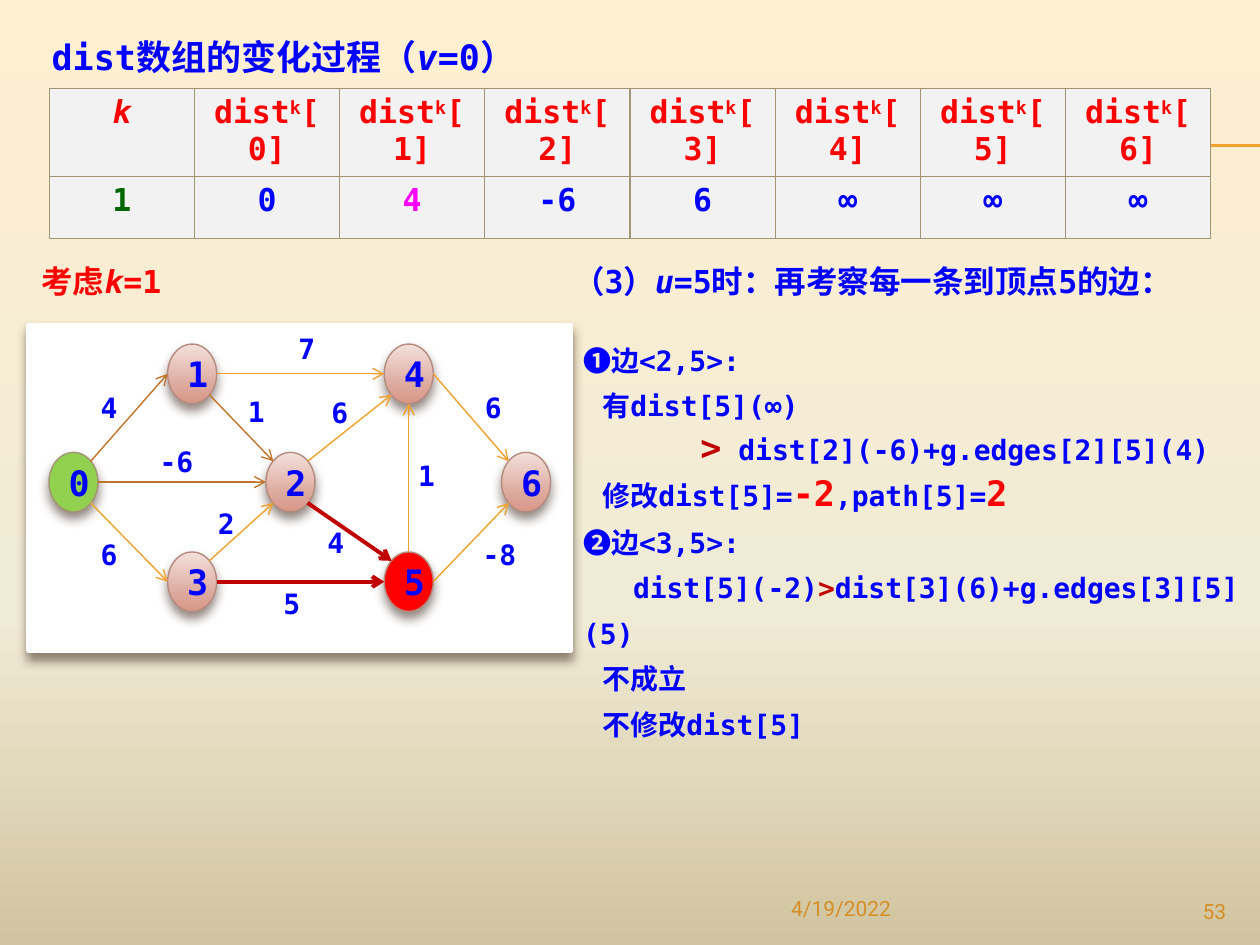
"""Build the slide on how the dist array changes in the shortest-path search."""
from copy import deepcopy

from lxml.etree import SubElement
from pptx import Presentation
from pptx.dml.color import RGBColor
from pptx.enum.shapes import MSO_CONNECTOR, MSO_SHAPE
from pptx.enum.text import MSO_ANCHOR, MSO_AUTO_SIZE, PP_ALIGN
from pptx.oxml import parse_xml
from pptx.oxml.ns import nsdecls, qn
from pptx.util import Pt

COLORS = {
    "blue": "0000FF", "red": "FF0000", "dark red": "C00000", "green": "006600",
    "magenta": "FF00FF", "lime": "92D050", "white": "FFFFFF", "cell": "F2F2F2",
    "border": "A19574", "orange": "F0A22E", "brown": "C17529", "rose": "B58B80",
    "footer": "D48F29", "shadow": "4E3B30",
    "cream": "FFEFD1", "ivory": "F0EBD5", "sand": "D1C39F",
    "rose light": "F3E0DB", "rose mid": "DCA79B", "rose deep": "D89787",
}
RGB = {name: RGBColor.from_string(value) for name, value in COLORS.items()}
MONO = {"name": "DejaVu Sans Mono", "bold": True, "color": "blue"}
HEADING = MONO | {"size": Pt(18)}
BODY = MONO | {"size": Pt(16)}
LARGE = MONO | {"size": Pt(20)}
FOOTER = {"name": "Roboto", "size": Pt(12), "color": "footer"}
ITALIC = {"italic": True}


def write_runs(paragraph, base, *runs):
    for text, changes in runs:
        run = paragraph.add_run()
        run.text = text
        for key, value in (base | changes).items():
            if key == "color":
                run.font.color.rgb = RGB[value]
            elif key == "baseline":
                run.font._element.set("baseline", value)
            else:
                setattr(run.font, key, value)


def paint_gradient(fill, *stops):
    fill.gradient()
    fill.gradient_angle = 270
    stop_list = fill.gradient_stops[0]._gs.getparent()
    stop_list.insert(1, deepcopy(stop_list[0]))
    for stop, (position, color) in zip(fill.gradient_stops, stops):
        stop.position = position
        stop.color.rgb = RGB[color]


presentation = Presentation()
presentation.slide_width, presentation.slide_height = Pt(720), Pt(540)
slide = presentation.slides.add_slide(presentation.slide_layouts[5])
paint_gradient(slide.background.fill, (0, "cream"), (0.65, "ivory"), (1, "sand"))

title = slide.shapes.title
title.left, title.top, title.width, title.height = Pt(22.3), Pt(16.6), Pt(326), Pt(31.7)
title.text_frame.auto_size = MSO_AUTO_SIZE.NONE
title.text_frame.vertical_anchor = MSO_ANCHOR.TOP
title.text_frame.paragraphs[0].alignment = PP_ALIGN.LEFT
write_runs(title.text_frame.paragraphs[0], LARGE,
           ("dist数组的变化过程（", {}), ("v", ITALIC), ("=0）", {}))

graph = slide.shapes.add_group_shape()
lines = [(slide.shapes, 40.3, y, 720, y, "orange", 0.75, False) for y in (82.8, 83.5)]

panel = graph.shapes.add_shape(MSO_SHAPE.RECTANGLE, Pt(16.6), Pt(185.8), Pt(309.6), Pt(185.8))
NODE_WIDTH, NODE_HEIGHT = 28, 34
nodes = {
    0: (28, 258.5), 1: (95.8, 196.6), 2: (152, 258.5), 3: (95.8, 315.4),
    4: (219.6, 196.6), 5: (219.6, 315.4), 6: (286.6, 258.5),
}
solid_nodes = {0: "lime", 5: "red"}
panel.fill.solid()
panel.fill.fore_color.rgb = RGB["white"]
panel.line.color.rgb = RGB["white"]
panel.line.width = Pt(3)
shadowed = [panel]
for number, (left, top) in nodes.items():
    node = graph.shapes.add_shape(MSO_SHAPE.OVAL, Pt(left), Pt(top), Pt(NODE_WIDTH), Pt(NODE_HEIGHT))
    if number in solid_nodes:
        node.fill.solid()
        node.fill.fore_color.rgb = RGB[solid_nodes[number]]
    else:
        paint_gradient(node.fill, (0, "rose light"), (0.72, "rose mid"), (1, "rose deep"))
    node.line.color.rgb = RGB["border" if number == 0 else "rose"]
    node.line.width = Pt(0.79)
    write_runs(node.text_frame.paragraphs[0], LARGE, (str(number), {}))
    shadowed.append(node)
for shape in shadowed:
    shape.shadow.inherit = False
    effects = shape._element.spPr.find(qn("a:effectLst"))
    effects.append(parse_xml(
        f'<a:outerShdw {nsdecls("a")} blurRad="{Pt(6)}" dist="{Pt(4)}" dir="5400000">'
        f'<a:srgbClr val="{COLORS["shadow"]}"><a:alpha val="60000"/></a:srgbClr></a:outerShdw>'))

sites = {
    "N": (0.5, 0), "NE": (0.85, 0.15), "E": (1, 0.5), "SE": (0.85, 0.85),
    "S": (0.5, 1), "SW": (0.15, 0.85), "W": (0, 0.5), "NW": (0.15, 0.15),
}
edges = [
    (0, "NE", 1, "W", "brown", 0.79), (1, "E", 4, "W", "orange", 0.79),
    (0, "SE", 3, "W", "orange", 0.79), (0, "E", 2, "W", "brown", 0.79),
    (1, "SE", 2, "NW", "brown", 0.79), (3, "E", 5, "W", "dark red", 2.25),
    (2, "NE", 4, "SW", "orange", 0.79), (5, "N", 4, "S", "orange", 0.79),
    (2, "SE", 5, "NW", "dark red", 2.25), (3, "NE", 2, "SW", "orange", 0.79),
    (4, "E", 6, "NW", "orange", 0.79), (5, "E", 6, "SW", "orange", 0.79),
]
for start, start_site, end, end_site, color, width in edges:
    points = []
    for number, site in ((start, start_site), (end, end_site)):
        points += [nodes[number][0] + NODE_WIDTH * sites[site][0],
                   nodes[number][1] + NODE_HEIGHT * sites[site][1]]
    lines.append((graph.shapes, *points, color, width, True))
for shapes, x1, y1, x2, y2, color, width, has_arrow in lines:
    connector = shapes.add_connector(MSO_CONNECTOR.STRAIGHT, Pt(x1), Pt(y1), Pt(x2), Pt(y2))
    connector.line.color.rgb = RGB[color]
    connector.line.width = Pt(width)
    if has_arrow:
        SubElement(connector.line._get_or_add_ln(), qn("a:tailEnd"), type="arrow")
    SubElement(connector._element.spPr, qn("a:effectLst"))

weights = [
    ("4", 50.4, 219.6), ("6", 50.4, 303.8), ("-6", 84.2, 250.6), ("1", 134.6, 221.8),
    ("7", 163.4, 185.8), ("6", 182.2, 222.5), ("1", 231.8, 258.5), ("2", 117.4, 285.8),
    ("4", 180, 296.6), ("5", 154.8, 331.9), ("-8", 275.8, 303.8), ("6", 270, 219.6),
]
for weight, left, top in weights:
    label = graph.shapes.add_textbox(Pt(left), Pt(top), Pt(39.6 if weight == "-6" else 22.3), Pt(26.6))
    label.text_frame.word_wrap = True
    if weight == "-8":
        label.text_frame.margin_left = label.text_frame.margin_right = 0
    write_runs(label.text_frame.paragraphs[0], BODY, (weight, {}))

header = [[("k", ITALIC)]] + [
    [("dist", {}), ("k", {"baseline": "30000"}), (f"[{index}]", {})] for index in range(7)]
values = [[(text, {"color": color})] for text, color in (
    ("1", "green"), ("0", "blue"), ("4", "magenta"), ("-6", "blue"),
    ("6", "blue"), ("∞", "blue"), ("∞", "blue"), ("∞", "blue"))]
table = slide.shapes.add_table(2, 8, Pt(28.1), Pt(50.4), Pt(663.8), Pt(70.6)).table
for row, contents in zip(table.rows, (header, values)):
    for cell, runs in zip(row.cells, contents):
        cell.fill.solid()
        cell.fill.fore_color.rgb = RGB["cell"]
        paragraph = cell.text_frame.paragraphs[0]
        paragraph.alignment = PP_ALIGN.CENTER
        write_runs(paragraph, HEADING | {"color": "red"}, *runs)
        for position, side in enumerate(("lnL", "lnR", "lnT", "lnB")):
            cell._tc.get_or_add_tcPr().insert(position, parse_xml(
                f'<a:{side} {nsdecls("a")} w="{Pt(0.79)}"><a:solidFill>'
                f'<a:srgbClr val="{COLORS["border"]}"/></a:solidFill></a:{side}>'))

big_red = {"size": Pt(20), "color": "red"}
steps = [
    (0, [("❶边<2,5>:", {})]),
    (11, [("有dist[5](∞)", {})]),
    (67, [(">", {"size": Pt(20), "color": "dark red"}), (" dist[2](-6)+g.edges[2][5](4)", {})]),
    (11, [("修改dist[5]=", {}), ("-2", big_red), (",path[5]=", {}), ("2", big_red)]),
    (0, [("❷边<3,5>:", {})]),
    (28.5, [("dist[5](-2)", {}), (">", {"color": "dark red"}), ("dist[3](6)+g.edges[3][5](5)", {})]),
    (11, [("不成立", {})]),
    (11, [("不修改dist[5]", {})]),
]
text_boxes = [
    (16.6, 146.2, 106.6, 28.8, HEADING | {"color": "red"}, None, PP_ALIGN.LEFT,
     [(0, [("考虑", {}), ("k", ITALIC), ("=1", {})])]),
    (326.2, 185.8, 393.8, 217.4, BODY, Pt(26), PP_ALIGN.LEFT, steps),
    (320.4, 146.2, 360, 28.8, HEADING, None, PP_ALIGN.LEFT,
     [(0, [("（3）", {}), ("u", ITALIC), ("=5时：再考察每一条到顶点5的边：", {})])]),
    (445, 508.3, 198, 23, FOOTER, None, PP_ALIGN.LEFT, [(0, [("4/19/2022", {})])]),
    (648, 509.8, 59.8, 19.4, FOOTER, None, PP_ALIGN.RIGHT, [(0, [("53", {})])]),
]
for left, top, width, height, style, spacing, alignment, contents in text_boxes:
    frame = slide.shapes.add_textbox(Pt(left), Pt(top), Pt(width), Pt(height)).text_frame
    frame.word_wrap = True
    for index, (indent, runs) in enumerate(contents):
        paragraph = frame.add_paragraph() if index else frame.paragraphs[0]
        paragraph.alignment = alignment
        paragraph.line_spacing = spacing
        paragraph._p.get_or_add_pPr().set("indent", str(Pt(indent)))
        write_runs(paragraph, style, *runs)

presentation.save("out.pptx")
